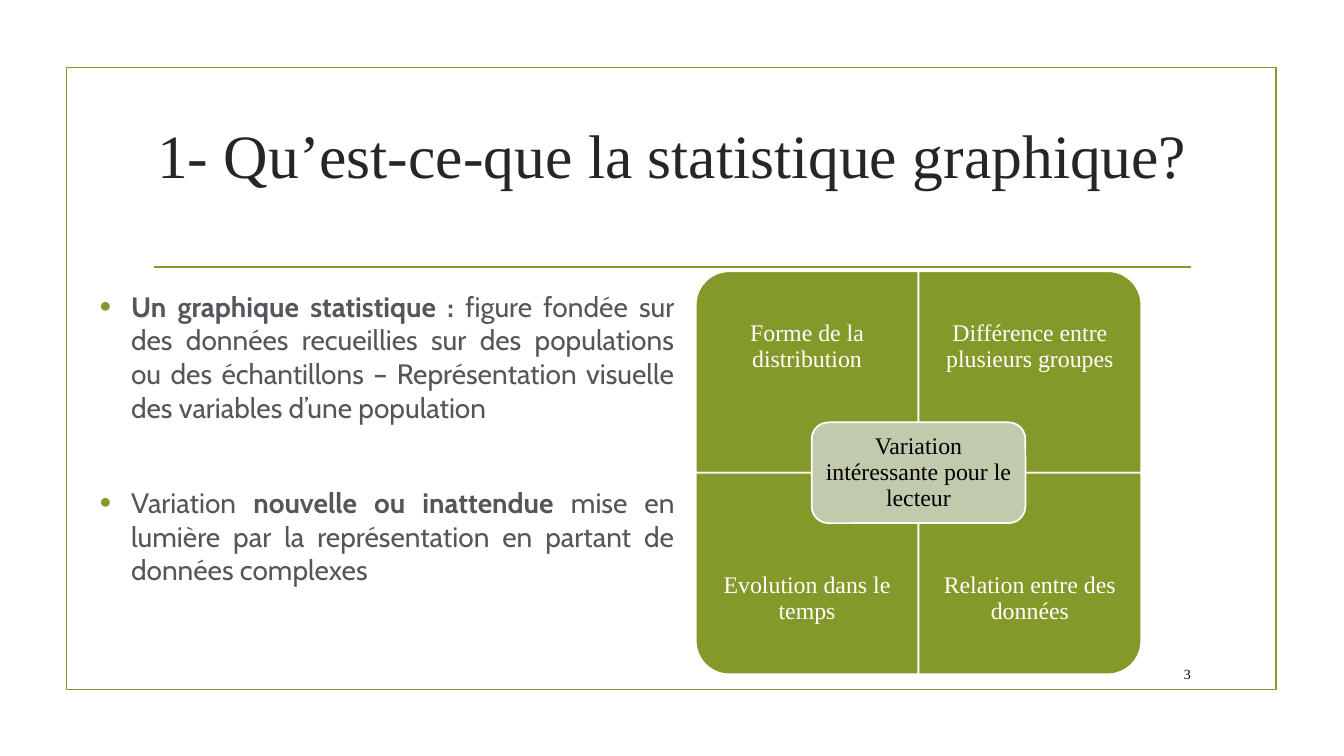
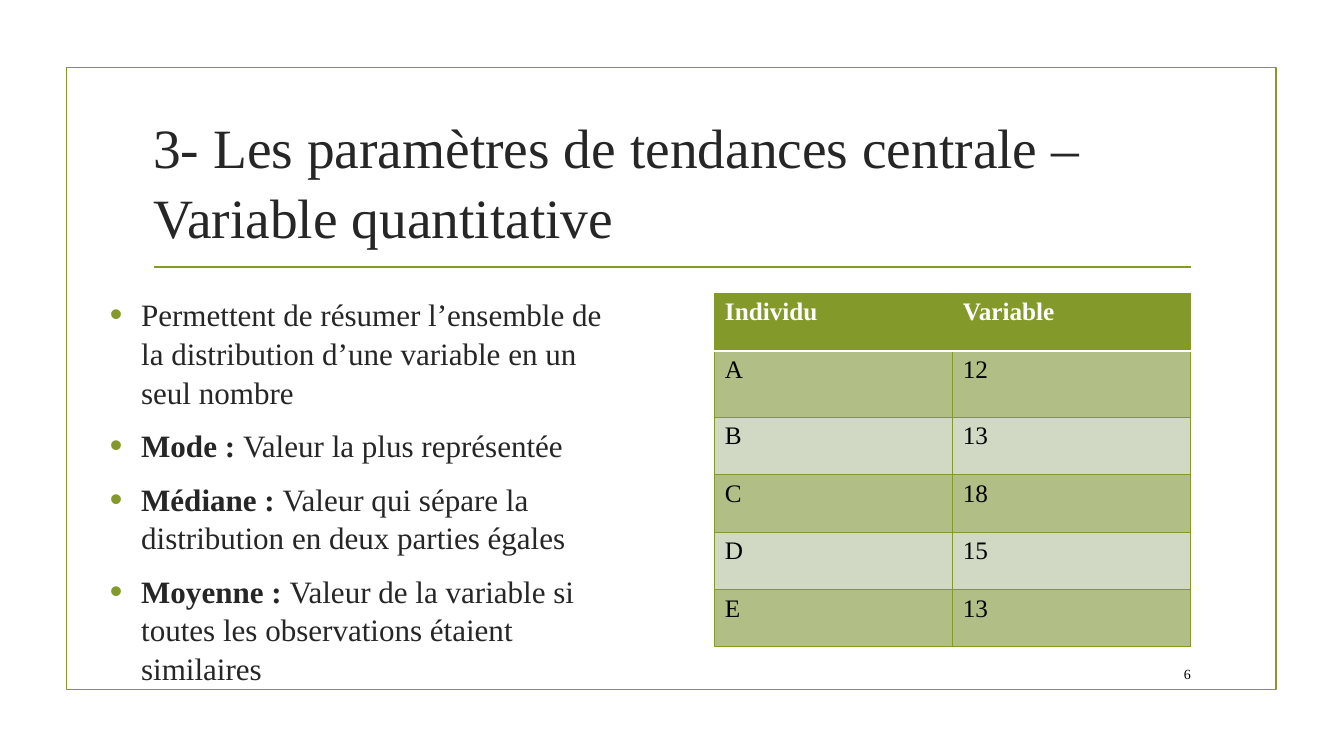
from lxml.etree import SubElement
from pptx import Presentation
from pptx.dml.color import RGBColor
from pptx.enum.shapes import MSO_CONNECTOR, MSO_SHAPE
from pptx.enum.text import MSO_ANCHOR, MSO_AUTO_SIZE, PP_ALIGN
from pptx.oxml import parse_xml
from pptx.oxml.ns import nsdecls, qn
from pptx.util import Inches, Pt

COLORS = {
    "green": "83992A", "title": "262626", "gray": "53565A", "black": "000000",
    "white": "FFFFFF", "sage": "C1CAAD", "band": "B1BF87", "pale": "D1D9C4",
}
SERIF = "Times New Roman"


def rgb(name):
    """Return the named palette colour."""
    return RGBColor.from_string(COLORS[name])


class Deck:
    """Hold the shared style and the current slide."""

    def __init__(self):
        """Start a widescreen presentation."""
        self.prs = Presentation()
        self.prs.slide_width = Inches(13.33)
        self.prs.slide_height = Inches(7.5)
        self.s = None

    def place(self, sp, left, top, width, height):
        """Set the position and size of a shape."""
        sp.left, sp.top = Inches(left), Inches(top)
        sp.width, sp.height = Inches(width), Inches(height)

    def run(self, p, text, size, color, font=SERIF, bold=False):
        """Add one formatted run to a paragraph."""
        r = p.add_run()
        r.text = text
        r.font.size, r.font.name, r.font.bold = Pt(size), font, bold
        r.font.color.rgb = rgb(color)

    def slide(self, number):
        """Add a slide with its frame, rule and number."""
        self.s = self.prs.slides.add_slide(self.prs.slide_layouts[1])
        self.shape(MSO_SHAPE.RECTANGLE, 0.66, 0.67, 12, 6.17, None, "green")
        rule = self.s.shapes.add_connector(
            MSO_CONNECTOR.STRAIGHT, Inches(1.53), Inches(2.65), Inches(11.81), Inches(2.65))
        rule.line.color.rgb = rgb("green")
        rule.line.width = Pt(1.25)
        SubElement(rule.element.spPr, qn("a:effectLst"))
        self.label(number, 11.32, 6.53, 0.59, 0.31, size=10, color="black",
                   align=PP_ALIGN.RIGHT)

    def shape(self, kind, left, top, width, height, fill, line):
        """Add a preset shape with a thin outline."""
        sp = self.s.shapes.add_shape(
            kind, Inches(left), Inches(top), Inches(width), Inches(height))
        sp.shadow.inherit = False
        if fill:
            sp.fill.solid()
            sp.fill.fore_color.rgb = rgb(fill)
        else:
            sp.fill.background()
        sp.line.color.rgb = rgb(line)
        sp.line.width = Pt(1.25)
        return sp

    def set_text(self, sp, text, size, color, align, inset=None, spacing=None):
        """Put one vertically centred paragraph in a shape."""
        tf = sp.text_frame
        tf.word_wrap = True
        tf.vertical_anchor = MSO_ANCHOR.MIDDLE
        if inset is not None:
            tf.margin_left = tf.margin_right = Inches(inset)
            tf.margin_top = tf.margin_bottom = Inches(inset)
        p = tf.paragraphs[0]
        p.alignment = align
        p.line_spacing = spacing
        self.run(p, text, size, color)

    def label(self, text, left, top, width, height, size, color, align, **options):
        """Add a text box with one paragraph."""
        sp = self.s.shapes.add_textbox(
            Inches(left), Inches(top), Inches(width), Inches(height))
        self.set_text(sp, text, size, color, align, **options)

    def title(self, text, top, size, align, spacing=1.0):
        """Fill the title placeholder."""
        sp = self.s.shapes.title
        self.place(sp, 1.42, top, 10.5, 1.43)
        sp.text_frame.auto_size = MSO_AUTO_SIZE.NONE
        self.set_text(sp, text, size, "title", align, spacing=spacing)

    def bullets(self, items, box, size, color, font=SERIF, align=PP_ALIGN.LEFT,
                before=4.4, spacing=1.0):
        """Fill the body placeholder; each item is a list of (text, bold) runs."""
        sp = self.s.placeholders[1]
        self.place(sp, *box)
        tf = sp.text_frame
        tf.auto_size = MSO_AUTO_SIZE.NONE
        for i, item in enumerate(items):
            p = tf.add_paragraph() if i else tf.paragraphs[0]
            p.alignment = align
            p.line_spacing = spacing
            p.space_before = Pt(before if i else 0)
            p.space_after = Pt(6)
            pPr = p._p.get_or_add_pPr()
            pPr.set("marL", str(Inches(0.31)))
            pPr.set("indent", str(-Inches(0.31)))
            SubElement(SubElement(pPr, qn("a:buClr")), qn("a:srgbClr")).set("val", COLORS["green"])
            SubElement(pPr, qn("a:buSzPct")).set("val", "115000")
            SubElement(pPr, qn("a:buFont")).set("typeface", "Arial")
            SubElement(pPr, qn("a:buChar")).set("char", "•")
            for text, bold in item:
                self.run(p, text, size, color, font, bold)

    def quadrants(self, labels, center, left, top, width, height):
        """Draw four outward-rounded tiles around a central label."""
        style = {"size": 17, "align": PP_ALIGN.CENTER, "spacing": 0.9}
        for i, (text, angle) in enumerate(zip(labels, (270, 0, 180, 90))):
            row, col = divmod(i, 2)
            x, y = left + col * width, top + row * height
            w, h = (height, width) if angle % 180 else (width, height)
            sp = self.shape(MSO_SHAPE.ROUND_1_RECTANGLE, x + (width - w) / 2,
                            y + (height - h) / 2, w, h, "green", "white")
            sp.rotation = angle
            self.label(text, x, y + row * height / 4, width, height * 0.75,
                       color="white", inset=0.13, **style)
        w, h = 2.12, height / 2
        sp = self.shape(MSO_SHAPE.ROUNDED_RECTANGLE, left + width - w / 2,
                        top + height - h / 2, w, h, "sage", "white")
        self.set_text(sp, center, color="black", inset=0.07, **style)

    def border(self, cell, side, color, width):
        """Add one cell border; call in the order L, R, T, B, before the fill."""
        cell._tc.get_or_add_tcPr().append(parse_xml(
            f'<a:ln{side} {nsdecls("a")} w="{Pt(width)}"><a:solidFill>'
            f'<a:srgbClr val="{COLORS[color]}"/></a:solidFill></a:ln{side}>'))

    def table(self, rows, left, top, col_width, heights):
        """Add a table with a green header and banded rows."""
        count = len(rows[0])
        table = self.s.shapes.add_table(
            len(rows), count, Inches(left), Inches(top),
            Inches(col_width * count), Inches(sum(heights))).table
        for column in table.columns:
            column.width = Inches(col_width)
        for i, (values, height) in enumerate(zip(rows, heights)):
            table.rows[i].height = Inches(height)
            white_side = {0: "B", 1: "T"}.get(i)
            fill = ("band" if i % 2 else "pale") if i else "green"
            for j, value in enumerate(values):
                cell = table.cell(i, j)
                for side in "LRTB":
                    white = side == white_side
                    self.border(cell, side, "white" if white else "green",
                                1.25 if white else 0.75)
                cell.fill.solid()
                cell.fill.fore_color.rgb = rgb(fill)
                self.run(cell.text_frame.paragraphs[0], value, 18,
                         "black" if i else "white", bold=i == 0)


def main():
    """Build and save the two slides."""
    deck = Deck()

    deck.slide("3")
    deck.title("1- Qu’est-ce-que la statistique graphique?", 0.81, 44, PP_ALIGN.CENTER)
    deck.bullets([
        [("Un graphique statistique : ", True),
         ("figure fondée sur des données recueillies sur des populations ou des "
          "échantillons – Représentation visuelle des variables d’une population", False)],
        [("Variation ", False), ("nouvelle ou inattendue ", True),
         ("mise en lumière par la représentation en partant de données complexes", False)],
    ], (0.89, 2.82, 5.9, 3.73), 20, "gray", "Cabin", PP_ALIGN.JUSTIFY, before=38)
    deck.quadrants(
        ["Forme de la distribution", "Différence entre plusieurs groupes",
         "Evolution dans le temps", "Relation entre des données"],
        "Variation intéressante pour le lecteur", 6.9, 2.69, 2.21, 2)

    deck.slide("6")
    deck.title("3- Les paramètres de tendances centrale – Variable quantitative",
               1.07, 39.6, PP_ALIGN.LEFT, spacing=1.04)
    deck.bullets([
        [("Permettent de résumer l’ensemble de la distribution d’une variable "
          "en un seul nombre", False)],
        [("Mode : ", True), ("Valeur la plus représentée", False)],
        [("Médiane : ", True),
         ("Valeur qui sépare la distribution en deux parties égales", False)],
        [("Moyenne : ", True),
         ("Valeur de la variable si toutes les observations étaient similaires", False)],
    ], (0.99, 2.87, 5.25, 3.63), 22.2, "title", spacing=1.04)
    deck.table(
        [("Individu", "Variable"), ("A", "12"), ("B", "13"), ("C", "18"),
         ("D", "15"), ("E", "13")],
        7.09, 2.91, 2.36, [0.57, 0.66] + [0.57] * 4)

    deck.prs.save("out.pptx")


if __name__ == "__main__":
    main()
